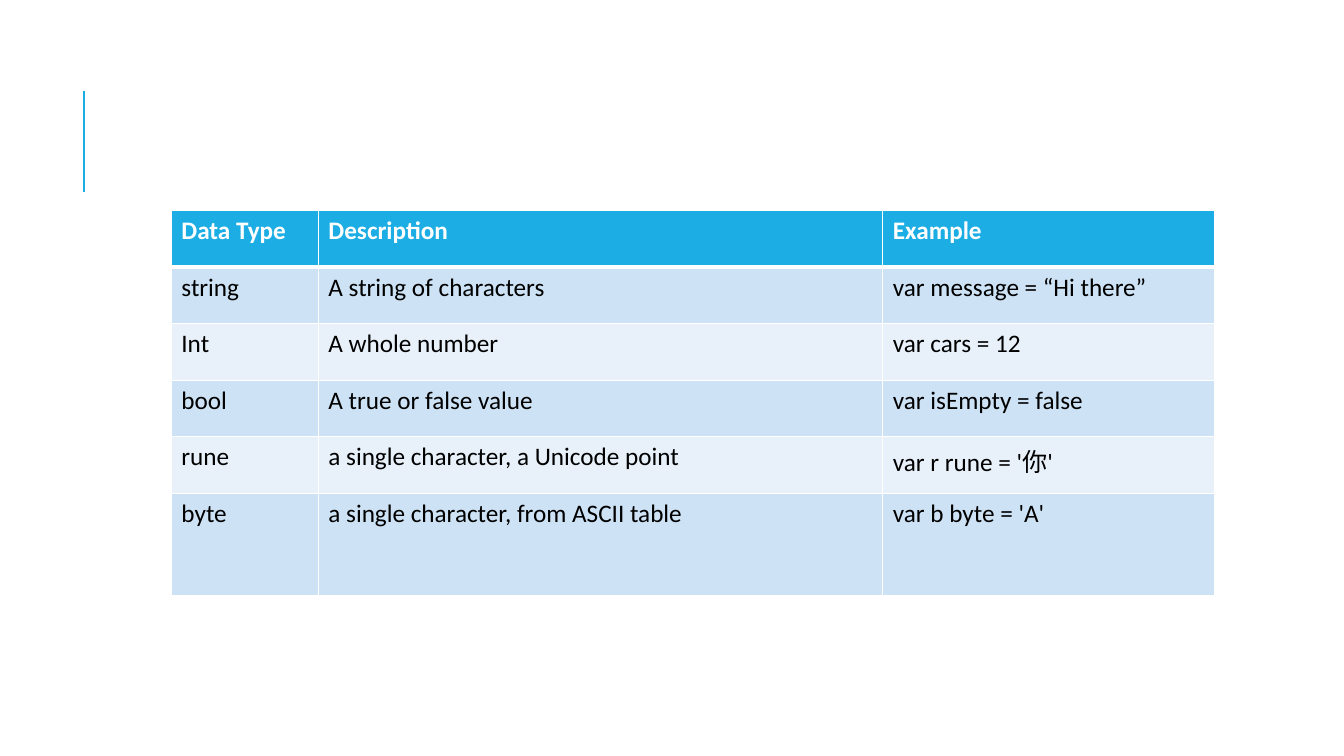
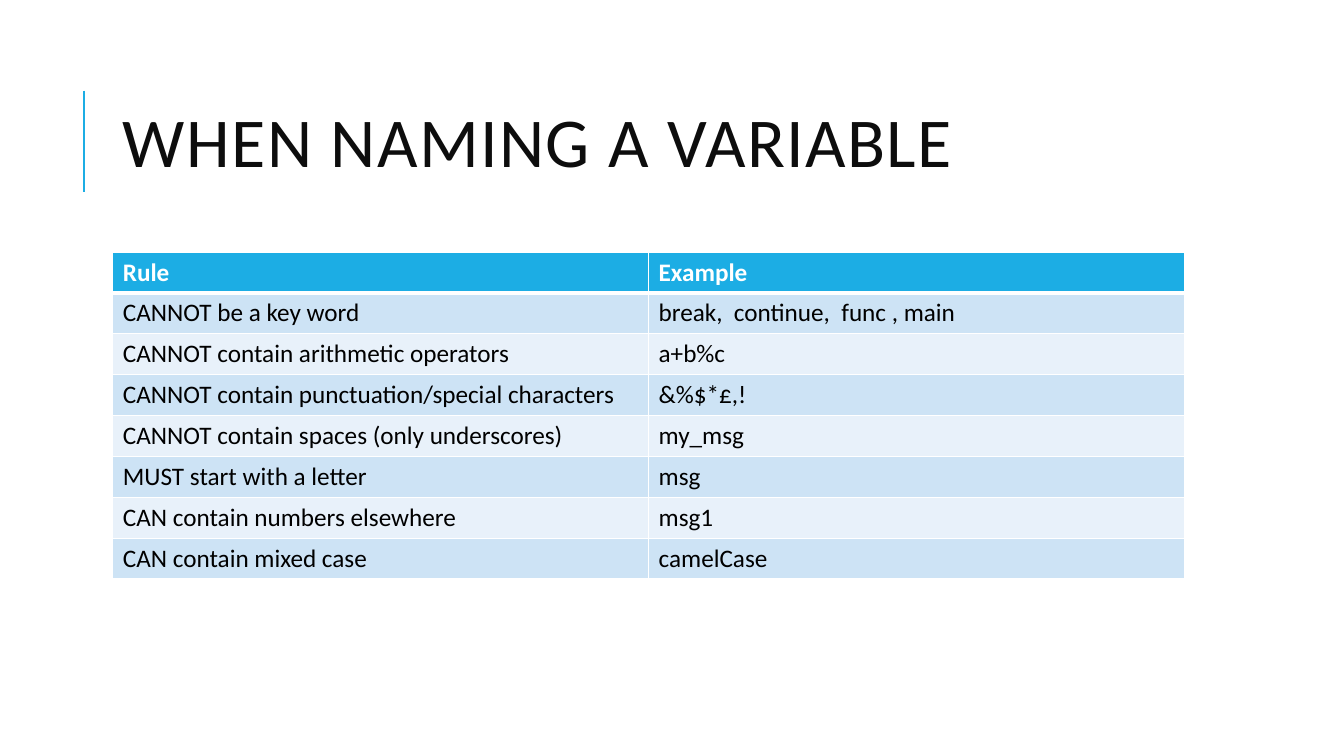
from dataclasses import dataclass

from lxml import etree
from pptx import Presentation
from pptx.dml.color import RGBColor
from pptx.enum.shapes import MSO_CONNECTOR
from pptx.enum.text import MSO_ANCHOR, MSO_AUTO_SIZE, PP_ALIGN
from pptx.oxml.ns import qn
from pptx.util import Pt

STRAIGHT = MSO_CONNECTOR.STRAIGHT
MIDDLE = MSO_ANCHOR.MIDDLE
LEFT = PP_ALIGN.LEFT
NO_AUTOFIT = MSO_AUTO_SIZE.NONE
TITLE_ONLY, BLANK = 5, 6


@dataclass(frozen=True)
class Theme:
    accent: str = "1CADE4"
    title: str = "0D0D0D"
    text: str = "000000"
    white: str = "FFFFFF"
    bands: tuple = ("CDE3F5", "E8F1FA")
    font: str = "Calibri"
    title_size: float = 50
    table_size: float = 18
    title_spacing: float = 1
    accent_width: float = 1.5
    border_width: float = 1
    header_border_width: float = 3


THEME = Theme()
SLIDE_SIZE = (960, 540)
ACCENT_LINE = (60, 64.8, 60, 136.8)
TITLE_BOX = (80.6, 46.1, 765.4, 118.1)

DATA_TYPES = [
    ("Data Type", "Description", "Example"),
    ("string", "A string of characters", "var message = “Hi there”"),
    ("Int", "A whole number", "var cars = 12"),
    ("bool", "A true or false value", "var isEmpty = false"),
    ("rune", "a single character, a Unicode point", "var r rune = '你'"),
    ("byte", "a single character, from ASCII table", "var b byte = 'A'"),
]
NAMING_RULES = [
    ("Rule", "Example"),
    ("CANNOT be a key word", "break,  continue,  func , main"),
    ("CANNOT contain arithmetic operators", "a+b%c"),
    ("CANNOT contain punctuation/special characters", "&%$*£,!"),
    ("CANNOT contain spaces (only underscores)", "my_msg"),
    ("MUST start with a letter", "msg"),
    ("CAN contain numbers elsewhere", "msg1"),
    ("CAN contain mixed case", "camelCase"),
]


def points(values):
    return [Pt(value) for value in values]


def format_font(font, color, **values):
    for name, value in {"name": THEME.font, **values}.items():
        setattr(font, name, value)
    font.color.rgb = RGBColor.from_string(color)


def add_accent_line(slide):
    line = slide.shapes.add_connector(STRAIGHT, *points(ACCENT_LINE))
    line.line.color.rgb = RGBColor.from_string(THEME.accent)
    line.line.width = Pt(THEME.accent_width)
    etree.SubElement(line._element.spPr, qn("a:effectLst"))


def set_title(slide, text, box):
    title = slide.shapes.title
    title.left, title.top, title.width, title.height = points(box)
    frame = title.text_frame
    frame.text = text
    for name, value in {"auto_size": NO_AUTOFIT, "word_wrap": True,
                        "vertical_anchor": MIDDLE}.items():
        setattr(frame, name, value)
    paragraph = frame.paragraphs[0]
    paragraph.alignment = LEFT
    paragraph.line_spacing = 0.8
    run = paragraph.runs[0]
    format_font(run.font, THEME.title, size=Pt(THEME.title_size), bold=False)
    run._r.get_or_add_rPr().set("spc", str(round(THEME.title_spacing * 100)))


def set_borders(cell, widths):
    """Draw white borders; the line elements must come before the fill."""
    properties = cell._tc.get_or_add_tcPr()
    for index, (side, width) in enumerate(widths.items()):
        line = etree.Element(qn(f"a:ln{side}"), w=str(Pt(width)))
        fill = etree.SubElement(line, qn("a:solidFill"))
        etree.SubElement(fill, qn("a:srgbClr"), val=THEME.white)
        properties.insert(index, line)


def format_cell(cell, row_index):
    is_header = row_index == 0
    fill_color = THEME.accent if is_header else THEME.bands[(row_index - 1) % 2]
    cell.fill.solid()
    cell.fill.fore_color.rgb = RGBColor.from_string(fill_color)
    format_font(cell.text_frame.paragraphs[0].runs[0].font,
                THEME.white if is_header else THEME.text,
                size=Pt(THEME.table_size), bold=is_header)
    # The header and the first body row share one thick border
    widths = dict.fromkeys("LRTB", THEME.border_width)
    if row_index < 2:
        widths["B" if is_header else "T"] = THEME.header_border_width
    set_borders(cell, widths)


def add_banded_table(slide, rows, origin, column_widths, row_heights):
    box = (*origin, sum(column_widths), sum(row_heights))
    table = slide.shapes.add_table(len(rows), len(column_widths), *points(box)).table
    for column, width in zip(table.columns, column_widths):
        column.width = Pt(width)
    for row_index, (texts, height) in enumerate(zip(rows, row_heights)):
        table.rows[row_index].height = Pt(height)
        for column_index, text in enumerate(texts):
            cell = table.cell(row_index, column_index)
            cell.text = text
            format_cell(cell, row_index)


def add_table_slide(presentation, rows, origin, column_widths, row_heights, title=None):
    layout = presentation.slide_layouts[TITLE_ONLY if title else BLANK]
    slide = presentation.slides.add_slide(layout)
    add_accent_line(slide)
    if title:
        set_title(slide, title, TITLE_BOX)
    add_banded_table(slide, rows, origin, column_widths, row_heights)


def main():
    presentation = Presentation()
    presentation.slide_width, presentation.slide_height = points(SLIDE_SIZE)

    # Data types, with a taller last row
    add_table_slide(presentation, DATA_TYPES, (122.4, 150.5), (105, 403.2, 236.8),
                    [40.4] * (len(DATA_TYPES) - 1) + [73.2])

    # Naming rules, in two equal columns under the title
    left, _, width, _ = TITLE_BOX
    add_table_slide(presentation, NAMING_RULES, (left, 180), [width / 2] * 2,
                    [29.2] * len(NAMING_RULES), title="WHEN NAMING A VARIABLE")

    presentation.save("out.pptx")


if __name__ == "__main__":
    main()
